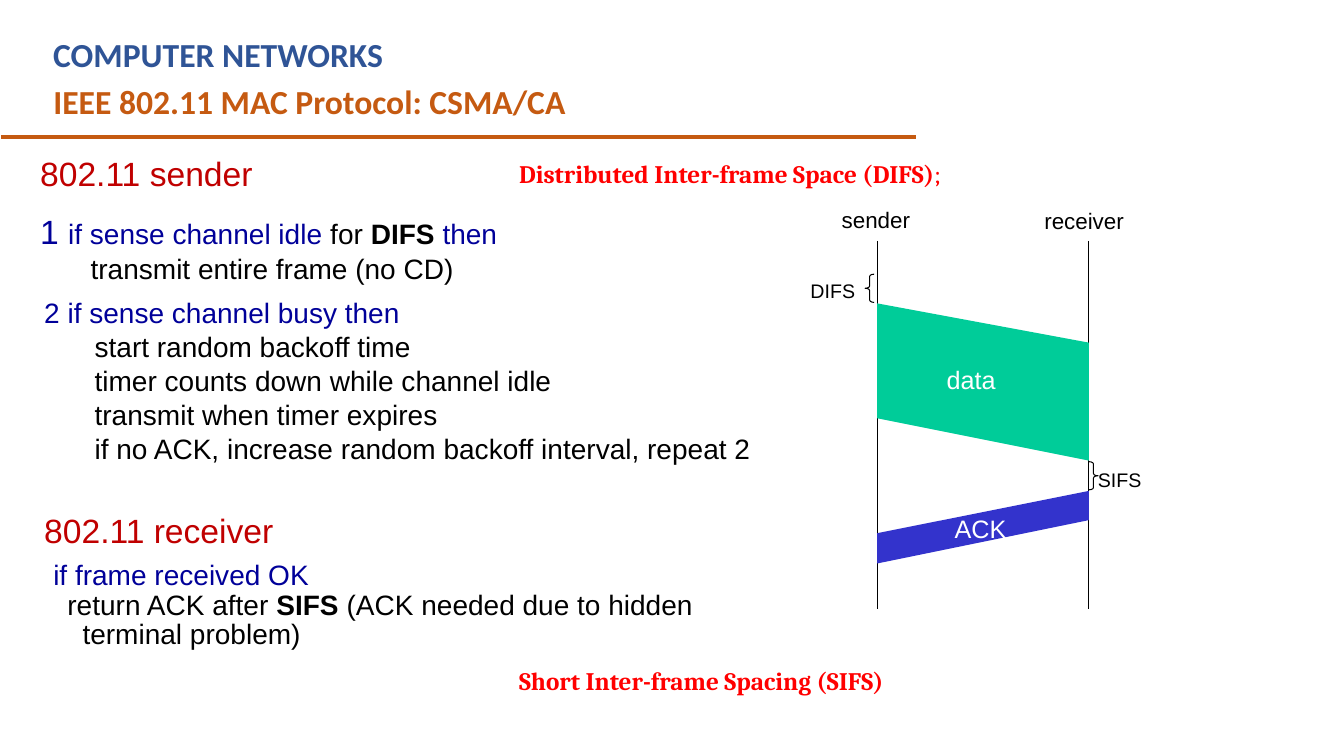
from typing import NamedTuple

from lxml import etree
from pptx import Presentation
from pptx import util as u
from pptx.dml.color import RGBColor
from pptx.enum import shapes, text
from pptx.oxml import ns

NAVY, RED, BLACK, WHITE = "000099", "C00000", "000000", "FFFFFF"
ORANGE, BRIGHT = "C55A11", "FF0000"


class Run(NamedTuple):
    words: str
    color: str = BLACK
    size: float = 20
    bold: bool = False
    face: str = "Arial"


class Para(NamedTuple):
    runs: list[Run]
    left: float = 0
    first: float = 0
    before: float = 0
    level: int = 0
    lines: float = 1


class Box(NamedTuple):
    at: tuple[float, float, float, float]
    paras: list[Para]
    wrap: bool = True


class Band(NamedTuple):
    points: list[tuple[float, float]]
    color: str


def rgb(color: str) -> RGBColor:
    return RGBColor.from_string(color)


def place(shape, at: tuple[float, float, float, float]) -> None:
    shape.left, shape.top, shape.width, shape.height = map(u.Inches, at)


def write(shape, box: Box) -> None:
    frame = shape.text_frame
    frame.word_wrap = box.wrap
    frame.auto_size = text.MSO_AUTO_SIZE.NONE
    frame.vertical_anchor = text.MSO_ANCHOR.TOP
    for i, para in enumerate(box.paras):
        p = frame.add_paragraph() if i else frame.paragraphs[0]
        p.alignment = text.PP_ALIGN.LEFT
        p.level = para.level
        p.line_spacing = para.lines
        p.space_before = u.Pt(para.before)
        props = p._p.get_or_add_pPr()
        props.set("marL", str(u.Inches(para.left)))
        props.set("indent", str(u.Inches(para.first)))
        for part in para.runs:
            run = p.add_run()
            run.text = part.words
            font = run.font
            font.name, font.size, font.bold = part.face, u.Pt(part.size), part.bold
            font.color.rgb = rgb(part.color)


def draw_box(slide, box: Box) -> None:
    write(slide.shapes.add_textbox(*map(u.Inches, box.at)), box)


def draw_line(slide, ends: tuple[float, float, float, float],
              color: str, width: float) -> None:
    line = slide.shapes.add_connector(
        shapes.MSO_CONNECTOR.STRAIGHT, *map(u.Inches, ends))
    line.line.color.rgb = rgb(color)
    line.line.width = u.Pt(width)
    etree.SubElement(line._element.spPr, ns.qn("a:effectLst"))


def draw_band(slide, band: Band) -> None:
    start, *rest = [(u.Inches(x), u.Inches(y)) for x, y in band.points]
    pen = slide.shapes.build_freeform(*start)
    pen.add_line_segments(rest, close=True)
    shape = pen.convert_to_shape()
    shape.shadow.inherit = False
    shape.fill.solid()
    shape.fill.fore_color.rgb = rgb(band.color)
    shape.line.fill.background()


def draw_brace(slide, kind, x: float, y: float) -> None:
    brace = slide.shapes.add_shape(kind, *map(u.Inches, (x, y, 0.09, 0.28)))
    brace.shadow.inherit = False
    brace.adjustments[0], brace.adjustments[1] = 0.25, 0.5
    brace.fill.background()
    brace.line.color.rgb = rgb(BLACK)
    brace.line.width = u.Pt(0.75)


def item(*runs: Run, first: float = -0.38, before: float = 0) -> Para:
    return Para(list(runs), 0.38, first, before, lines=0.85)


def step(words: str) -> Para:
    return Para([Run(words)], 0.81, -0.31, 4, 1, 0.85)


def label(words: str, size: float, at: tuple[float, float, float, float],
          color: str = BLACK) -> Box:
    return Box(at, [Para([Run(words, color, size)])], False)


def note(*runs: Run, at: tuple[float, float, float, float]) -> Box:
    return Box(at, [Para(list(runs))])


COURSE = note(Run("COMPUTER NETWORKS", "2F5496", 24, True, "Calibri"),
              at=(0.43, 0.29, 8.2, 0.5))
TITLE = note(Run("IEEE 802.11 MAC Protocol: CSMA/CA", ORANGE, 24, True, "Calibri"),
             at=(0.43, 0.75, 5.33, 0.5))

RULES = [
    Box((0.3, 1.53, 7.31, 1.41), [
        item(Run("802.11 sender", RED, 24)),
        item(Run("1 ", NAVY, 24), Run("if sense channel idle", NAVY), Run(" for "),
             Run("DIFS ", bold=True), Run("then", NAVY), before=16.8),
        step("transmit entire frame (no CD)"),
    ]),
    Box((0.34, 2.93, 7.31, 1.86), [
        item(Run("2 if sense channel busy then", NAVY)),
        step("start random backoff time"),
        step("timer counts down while channel idle"),
        step("transmit when timer expires"),
        step("if no ACK, increase random backoff interval, repeat 2"),
    ]),
    Box((0.34, 5.07, 7.31, 1.86), [
        item(Run("802.11 receiver", RED, 24)),
        item(Run("if frame received OK", NAVY), first=-0.29, before=9),
        item(Run("return ACK after "), Run("SIFS ", bold=True),
             Run("(ACK needed due to hidden terminal problem)"),
             first=-0.15, before=1),
    ]),
]

TERMS = [
    note(Run("Short Inter-frame Spacing (SIFS)", BRIGHT, 18, True, "Cambria"),
         at=(5.05, 6.55, 3.89, 0.4)),
    note(Run("Distributed Inter-frame Space (DIFS)", BRIGHT, 18, True, "Cambria"),
         Run(";", BRIGHT, 18, False, "Cambria"), at=(5.05, 1.52, 4.7, 0.4)),
]

# Timing diagram: sender on the left axis, receiver on the right
SEND, RECV = 8.7, 10.8
BANDS = [
    Band([(SEND, 3.01), (RECV, 3.4), (RECV, 4.57), (SEND, 4.15)], "00CC99"),
    Band([(SEND, 5.29), (RECV, 4.87), (RECV, 5.16), (SEND, 5.59)], "3333CC"),
]
LABELS = [
    label("sender", 16, (8.25, 2, 0.91, 0.37)),
    label("receiver", 16, (10.26, 2.01, 1, 0.37)),
    label("DIFS", 14, (7.94, 2.72, 0.65, 0.34)),
    label("data", 18, (9.29, 3.57, 0.69, 0.4), WHITE),
    label("SIFS", 14, (10.79, 4.59, 0.64, 0.34)),
    label("ACK", 18, (9.37, 5.04, 0.72, 0.4), WHITE),
]


def main() -> None:
    deck = Presentation()
    deck.slide_width, deck.slide_height = u.Inches(13.33), u.Inches(7.5)
    slide = deck.slides.add_slide(deck.slide_layouts[5])

    # Heading
    place(slide.shapes.title, TITLE.at)
    write(slide.shapes.title, TITLE)
    draw_box(slide, COURSE)
    draw_line(slide, (0.01, 1.36, 9.09, 1.36), ORANGE, 3)

    # Diagram
    for x in (SEND, RECV):
        draw_line(slide, (x, 2.39, x, 6.04), BLACK, 0.75)
    for band in BANDS:
        draw_band(slide, band)
    draw_brace(slide, shapes.MSO_SHAPE.LEFT_BRACE, 8.58, 2.72)
    draw_brace(slide, shapes.MSO_SHAPE.RIGHT_BRACE, RECV, 4.58)

    # Text
    for box in LABELS + RULES + TERMS:
        draw_box(slide, box)

    deck.save("out.pptx")


if __name__ == "__main__":
    main()
